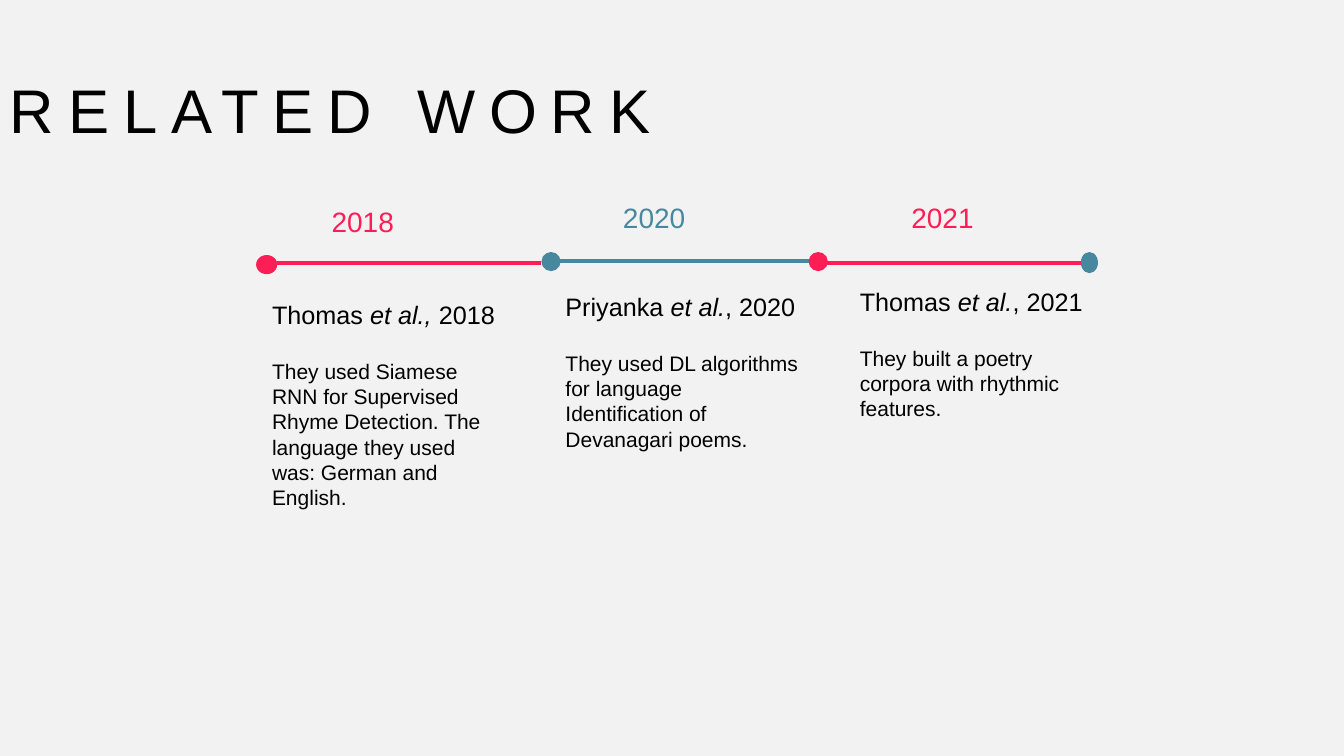
import pptx
import pptx.util
import pptx.dml.color
import pptx.enum.shapes
import pptx.enum.text
import pptx.oxml.ns
import lxml.etree

Inches, Pt = pptx.util.Inches, pptx.util.Pt
COLORS = {"bg": "F2F2F2", "text": "000000", "pink": "FC1E54", "teal": "48889F"}

# Boxes are (left, top, width, height) in inches.
STAGES = [
    dict(color="pink", line=(2.75, 5.37, 2.61), dot=(2.54, 2.53, 0.21, 0.19),
         year="2018", year_box=(3.19, 1.98, 1.32, 0.43), box=(2.6, 2.92, 2.47, 3.22),
         cite=("Thomas ", "et al., ", "2018"),
         body="They used Siamese RNN for Supervised Rhyme Detection. "
              "The language they used was: German and English."),
    dict(color="teal", line=(5.47, 8.03, 2.59), dot=(5.37, 2.5, 0.19, 0.19),
         year="2020", year_box=(6.08, 1.94, 1.32, 0.43), box=(5.51, 2.84, 2.52, 3.88),
         cite=("Priyanka ", "et al.", ", 2020"),
         body="They used DL algorithms for language Identification of Devanagari poems."),
    dict(color="pink", line=(8.17, 10.73, 2.61), dot=(8.02, 2.5, 0.19, 0.19),
         year="2021", year_box=(8.94, 1.94, 1.32, 0.43), box=(8.43, 2.79, 2.46, 1.54),
         cite=("Thomas ", "et al.", ", 2021"),
         body="They built a poetry corpora with rhythmic features."),
]
END_DOT = (10.72, 2.5, 0.17, 0.21)


def rgb(name):
    return pptx.dml.color.RGBColor.from_string(COLORS[name])


def add_text_frame(s, box):
    tf = s.shapes.add_textbox(*map(Inches, box)).text_frame
    tf.word_wrap = True
    return tf


def add_run(p, text, size, color="text", italic=False):
    r = p.add_run()
    r.text = text
    r.font.name = "Arial"
    r.font.size = Pt(size)
    r.font.italic = italic
    r.font.color.rgb = rgb(color)
    return r


def add_title(s, box):
    tf = add_text_frame(s, box)
    tf.vertical_anchor = pptx.enum.text.MSO_ANCHOR.MIDDLE
    p = tf.paragraphs[0]
    p.line_spacing = 0.9
    r = add_run(p, "RELATED WORK", 44)
    r.font._element.set("spc", "990")


def add_line(s, x1, x2, y, color):
    line = s.shapes.add_connector(pptx.enum.shapes.MSO_CONNECTOR.STRAIGHT,
                                  Inches(x1), Inches(y), Inches(x2), Inches(y))
    line.line.color.rgb = rgb(color)
    line.line.width = Pt(3)
    lxml.etree.SubElement(line._element.spPr, pptx.oxml.ns.qn("a:effectLst"))


def add_dot(s, box, color):
    dot = s.shapes.add_shape(pptx.enum.shapes.MSO_SHAPE.OVAL, *map(Inches, box))
    dot.shadow.inherit = False
    dot.fill.solid()
    dot.fill.fore_color.rgb = rgb(color)
    dot.line.fill.background()


def add_paper(s, box, cite, body):
    """Place a citation with its summary one line below."""
    tf = add_text_frame(s, box)
    p = tf.paragraphs[0]
    p.space_after = Pt(20.7)
    for i, part in enumerate(cite):
        add_run(p, part, 18, italic=i == 1)
    add_run(tf.add_paragraph(), body, 15)


def add_timeline(s, stages):
    for stage in stages:
        add_line(s, *stage["line"], stage["color"])
        add_dot(s, stage["dot"], stage["color"])
        year = add_text_frame(s, stage["year_box"])
        add_run(year.paragraphs[0], stage["year"], 20, stage["color"])
        add_paper(s, stage["box"], stage["cite"], stage["body"])
    add_dot(s, END_DOT, "teal")


def main():
    prs = pptx.Presentation()
    prs.slide_width, prs.slide_height = Inches(13.33), Inches(7.5)
    s = prs.slides.add_slide(prs.slide_layouts[6])
    s.background.fill.solid()
    s.background.fill.fore_color.rgb = rgb("bg")
    add_title(s, (0, 0.4, 11.5, 1.45))
    add_timeline(s, STAGES)
    prs.save("out.pptx")


if __name__ == "__main__":
    main()
